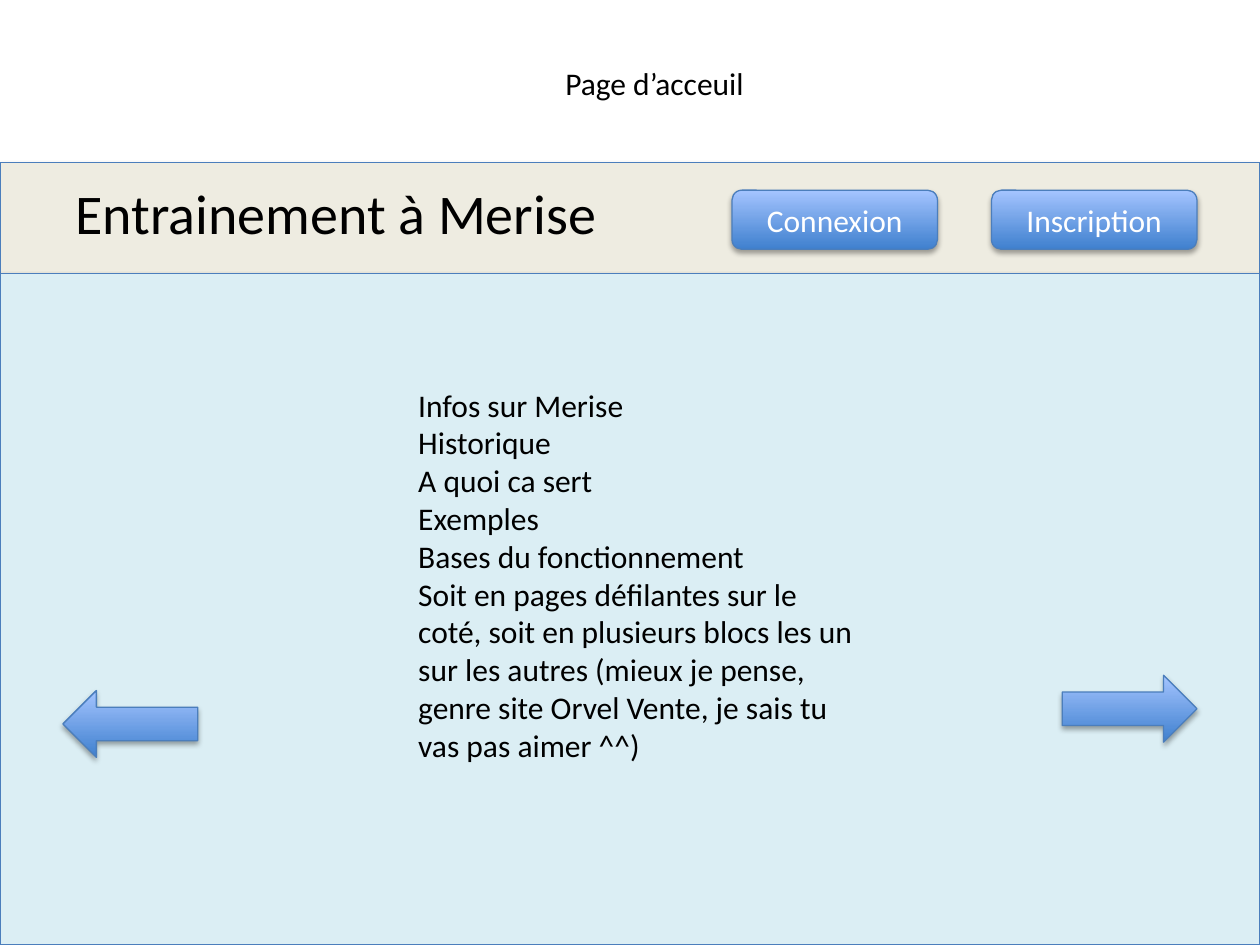
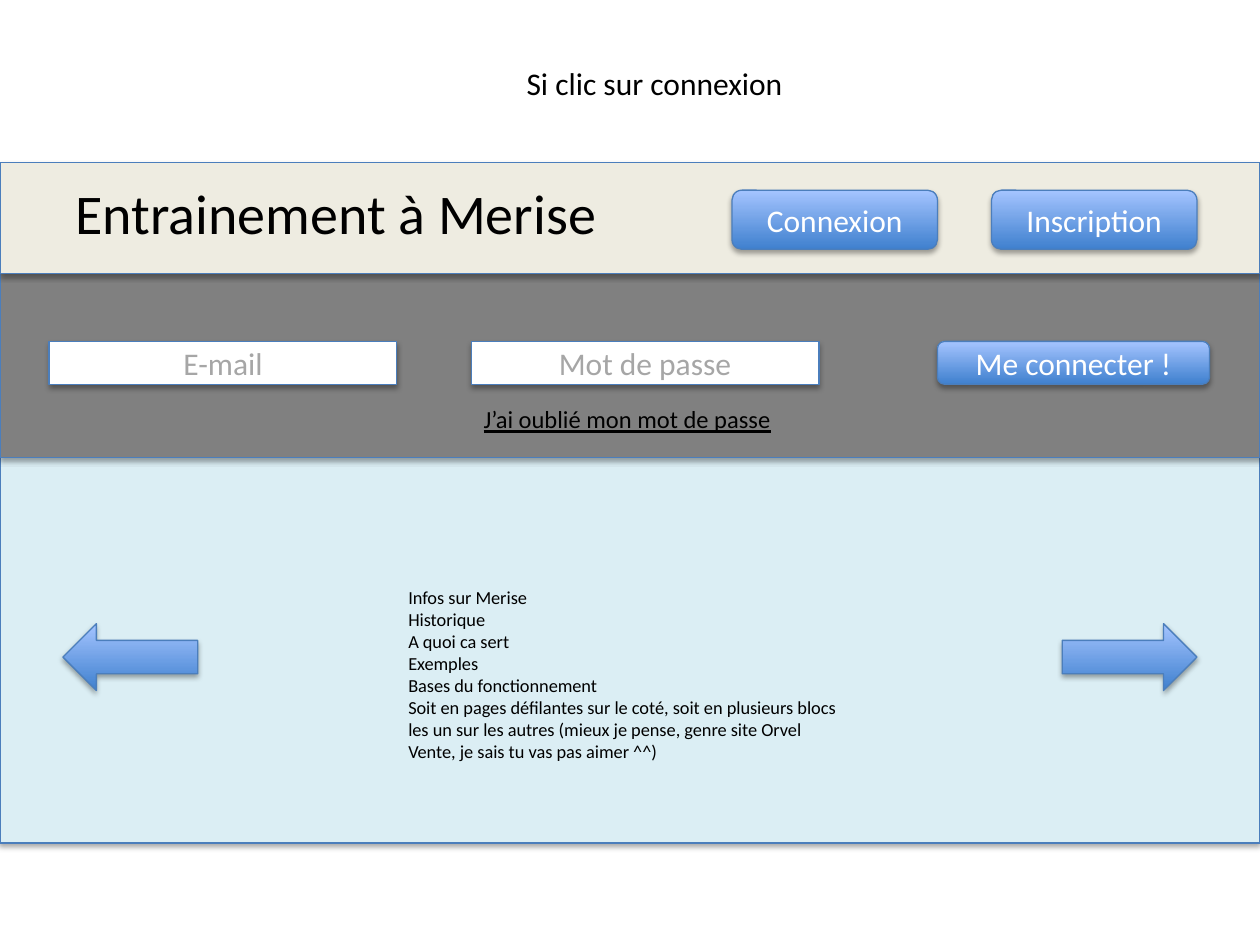
from dataclasses import dataclass
from lxml.etree import SubElement
from pptx import Presentation
from pptx.dml.color import RGBColor
from pptx.enum.shapes import MSO_SHAPE as Preset
from pptx.enum.text import MSO_ANCHOR as Anchor, MSO_AUTO_SIZE as AutoSize, PP_ALIGN as Align
from pptx.oxml.ns import qn
from pptx.util import Pt

SITE_NAME = "Entrainement à Merise"
HEADER_BUTTONS = ["Connexion", "Inscription"]
LOGIN_FIELDS = ["E-mail", "Mot de passe"]
LOGIN_BUTTON = "Me connecter !"
FORGOTTEN = "J’ai oublié mon mot de passe"
TOPICS = [
    "Infos sur Merise",
    "Historique",
    "A quoi ca sert",
    "Exemples",
    "Bases du fonctionnement",
    "Soit en pages défilantes sur le coté, soit en plusieurs blocs les un sur les autres "
    "(mieux je pense, genre site Orvel Vente, je sais tu vas pas aimer ^^)",
]
PAGES = [
    dict(caption="Page d’acceuil", login=False, panel_bottom=540, topics_at=(231.8, 216.7, 262.8, 225.4),
         topics_size=18, arrow_tops=(394.6, 385.9)),
    dict(caption="Si clic sur connexion", login=True, panel_bottom=481.7, topics_at=(226.1, 331.2, 262.8, 108.7),
         topics_size=10.5, arrow_tops=(356.4, 356.4)),
]


@dataclass(frozen=True)
class Theme:
    font: str = "Calibri"
    ink: str = "000000"
    white: str = "FFFFFF"
    hint: str = "A6A6A6"
    header: str = "EEECE1"
    login: str = "808080"
    panel: str = "DBEEF4"
    outline: str = "4B7EBC"
    gradient: tuple = ("3F80CE", "A4C4FF")
    heading_size: float = 32
    text_size: float = 18
    link_size: float = 14


theme = Theme()
WIDTH, HEIGHT, MARGIN = 720, 540, 36
HEADER_TOP, HEADER_BOTTOM, LOGIN_BOTTOM = 92.9, 156.25, 261.35
BUTTON_WIDTH, BUTTON_STEP = 117.4, 148.3
FIELD_LEFT, FIELD_STEP, FIELD_TOP, FIELD_HEIGHT = 28.1, 241.2, 195.1, 24.5
ARROW_WIDTH, ARROW_HEIGHT = 77, 38.2


def colour(value):
    return RGBColor.from_string(value)


def place(shape, box):
    shape.left, shape.top, shape.width, shape.height = map(Pt, box)


def write(shape, lines, size, ink=theme.ink, align=Align.LEFT, anchor=Anchor.TOP):
    frame = shape.text_frame
    frame.text = "\n".join(lines)
    frame.word_wrap = True
    frame.auto_size = AutoSize.NONE
    frame.vertical_anchor = anchor
    for paragraph in frame.paragraphs:
        paragraph.alignment = align
        paragraph.space_before = Pt(0)
        paragraph.font.name = theme.font
        paragraph.font.size = Pt(size)
        paragraph.font.color.rgb = colour(ink)


def add_text(slide, box, text, size):
    shape = slide.shapes.add_textbox(*map(Pt, box))
    write(shape, [text], size)
    return shape


def add_shadow(shape):
    shape.shadow.inherit = False
    effects = shape.element.spPr.find(qn("a:effectLst"))
    shadow = SubElement(effects, qn("a:outerShdw"), blurRad=str(Pt(3.1)), dist=str(Pt(1.8)),
                        dir="5400000", rotWithShape="0")
    black = SubElement(shadow, qn("a:srgbClr"), val=theme.ink)
    SubElement(black, qn("a:alpha"), val="35000")


def add_block(slide, preset, box, fill=None, label=None, ink=theme.white):
    shape = slide.shapes.add_shape(preset, *map(Pt, box))
    if fill:
        shape.fill.solid()
        shape.fill.fore_color.rgb = colour(fill)
    else:
        shape.fill.gradient()
        shape.fill.gradient_angle = 90
        for stop, value in zip(shape.fill.gradient_stops, theme.gradient):
            stop.color.rgb = colour(value)
    shape.line.color.rgb = colour(theme.outline)
    shape.line.width = Pt(0.75)
    add_shadow(shape)
    if label:
        write(shape, [label], theme.text_size, ink, Align.CENTER, Anchor.MIDDLE)


def add_band(slide, top, bottom, fill):
    add_block(slide, Preset.RECTANGLE, (0, top, WIDTH, bottom - top), fill)


def add_header(slide):
    add_band(slide, HEADER_TOP, HEADER_BOTTOM, theme.header)
    add_text(slide, (MARGIN, 98.6, 318, 46), SITE_NAME, theme.heading_size)
    first_left = WIDTH - MARGIN - BUTTON_WIDTH - BUTTON_STEP
    for index, label in enumerate(HEADER_BUTTONS):
        box = (first_left + index * BUTTON_STEP, 108.7, BUTTON_WIDTH, 33.8)
        add_block(slide, Preset.ROUNDED_RECTANGLE, box, label=label)


def add_login(slide):
    add_band(slide, HEADER_BOTTOM, LOGIN_BOTTOM, theme.login)
    for index, label in enumerate(LOGIN_FIELDS):
        box = (FIELD_LEFT + index * FIELD_STEP, FIELD_TOP, 198.7, FIELD_HEIGHT)
        add_block(slide, Preset.RECTANGLE, box, theme.white, label, theme.hint)
    add_block(slide, Preset.ROUNDED_RECTANGLE, (535.7, FIELD_TOP, 155.5, FIELD_HEIGHT), label=LOGIN_BUTTON)
    link = add_text(slide, (FIELD_LEFT + FIELD_STEP, 227.5, 285, 24.5), FORGOTTEN, theme.link_size)
    link.text_frame.paragraphs[0].font.underline = True


def add_topics(slide, box, size):
    body = slide.placeholders[1]
    place(body, box)
    write(body, TOPICS, size)
    for paragraph in body.text_frame.paragraphs:
        properties = paragraph._p.get_or_add_pPr()
        properties.set("marL", "0")
        properties.set("indent", "0")
        SubElement(properties, qn("a:buNone")) if properties.find(qn("a:defRPr")) is None else \
            properties.find(qn("a:defRPr")).addprevious(properties.makeelement(qn("a:buNone")))
    slide.shapes.element.append(body.element)


def add_arrows(slide, tops):
    lefts = (MARGIN, WIDTH - MARGIN - ARROW_WIDTH)
    for preset, left, top in zip((Preset.LEFT_ARROW, Preset.RIGHT_ARROW), lefts, tops):
        add_block(slide, preset, (left, top, ARROW_WIDTH, ARROW_HEIGHT))


def add_page(presentation, page):
    slide = presentation.slides.add_slide(presentation.slide_layouts[1])
    place(slide.shapes.title, (212.4, 33.1, 323.3, 28.8))
    write(slide.shapes.title, [page["caption"]], theme.text_size, align=Align.CENTER)
    if page["login"]:
        add_band(slide, LOGIN_BOTTOM, page["panel_bottom"], theme.panel)
        add_login(slide)
        add_header(slide)
    else:
        add_header(slide)
        add_band(slide, HEADER_BOTTOM, page["panel_bottom"], theme.panel)
    add_topics(slide, page["topics_at"], page["topics_size"])
    add_arrows(slide, page["arrow_tops"])


presentation = Presentation()
presentation.slide_width, presentation.slide_height = Pt(WIDTH), Pt(HEIGHT)
for page in PAGES:
    add_page(presentation, page)
presentation.save("out.pptx")
